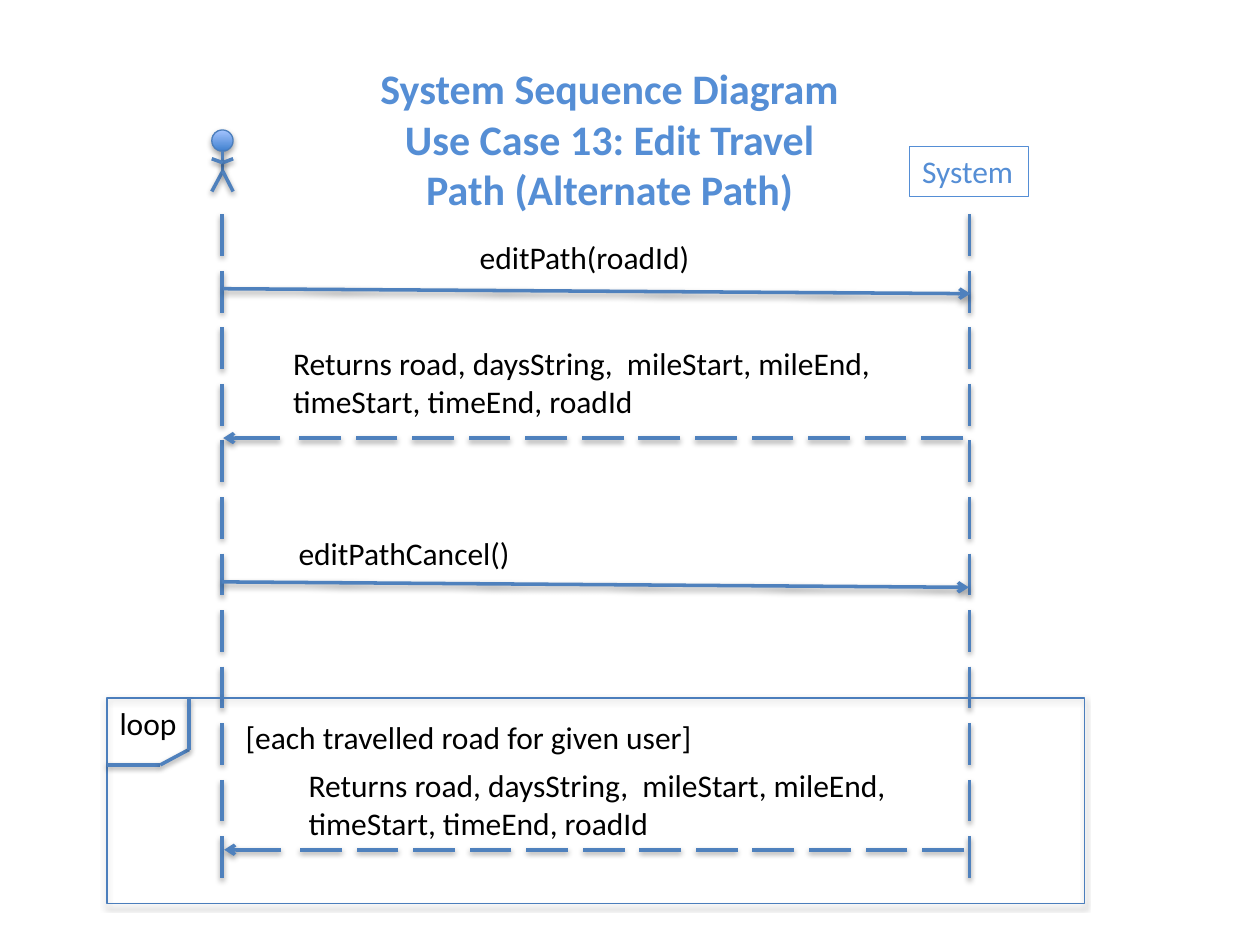
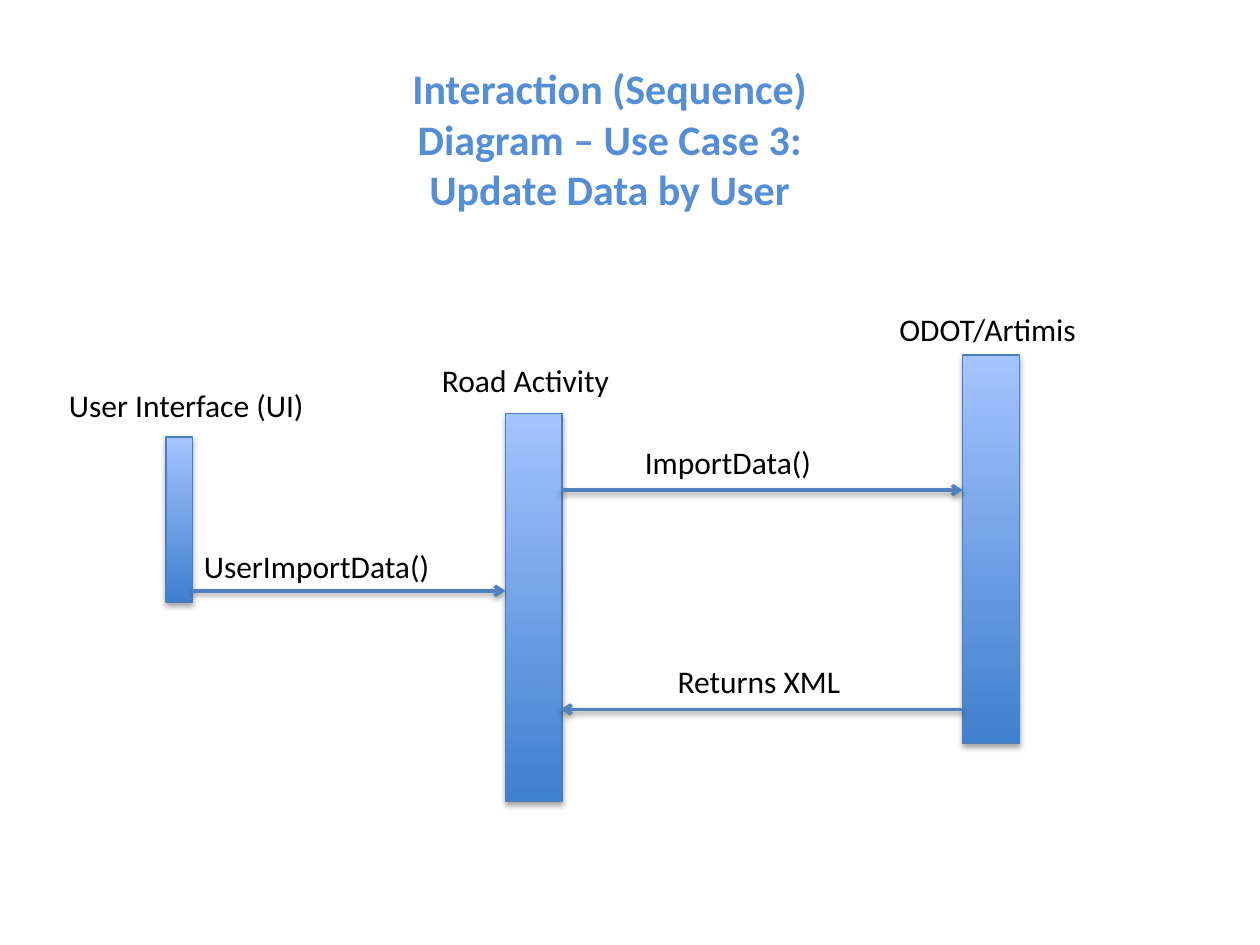
"""Build two sequence diagram slides for a travel road system."""
from itertools import pairwise

from lxml.etree import SubElement as Sub
from pptx import Presentation
from pptx.dml.color import RGBColor
from pptx.enum.shapes import MSO_CONNECTOR as Link, MSO_SHAPE as Kind
from pptx.enum.text import MSO_ANCHOR as Anchor, MSO_AUTO_SIZE as Fit, PP_ALIGN as Align
from pptx.oxml.ns import qn
from pptx.util import Cm, Pt

FONT = "Calibri"
BLACK = RGBColor(0x00, 0x00, 0x00)
SKY = RGBColor(0x55, 0x8E, 0xD5)
BLUE = RGBColor(0x4F, 0x81, 0xBD)
EDGE = RGBColor(0x4B, 0x7E, 0xBC)
DEEP = RGBColor(0x3F, 0x80, 0xCE)
PALE = RGBColor(0xA4, 0xC4, 0xFF)

TITLE_BOX = (7.39, 1.14, 9.8, 3.33)
ROW = 1.02
DASH, STEP, COUNT = 0.84, 1.14, 12

EDIT_TITLE = ["System Sequence Diagram", "Use Case 13: Edit Travel Path (Alternate Path)"]
REPLY = "Returns road, daysString,  mileStart, mileEnd, timeStart, timeEnd, roadId"
HEAD = (4.27, 2.62, 0.43, 0.43)
LIMBS = [
    (4.49, 3.05, 4.49, 3.45), (4.49, 3.45, 4.27, 3.86), (4.49, 3.45, 4.7, 3.86),
    (4.49, 3.28, 4.7, 3.2), (4.49, 3.28, 4.27, 3.2),
]
SYSTEM = (18.34, 2.95, 2.39, ROW)
LIVES, LIFE_TOP = [4.47, 19.54], 4.32
REPLIES = [(19.41, 8.83), (19.43, 17.13)]
CALLS = [(4.5, 5.82, 19.56, 5.92), (4.47, 11.73, 19.53, 11.84)]
LOOP = (2.16, 14.07, 19.71, 4.14)
TAG = [(2.16, 15.42), (3.23, 15.42), (3.81, 15.11), (3.81, 14.07)]
EDIT_NOTES = [
    ("editPath(roadId)", (9.42, 4.67, 4.83, ROW), False),
    (REPLY, (5.66, 6.81, 12.19, 1.8), True),
    ("editPathCancel()", (5.77, 10.64, 12.09, ROW), True),
    ("loop", (2.16, 14.07, 1.68, ROW), False),
    ("[each travelled road for given user]", (4.7, 14.35, 9.65, ROW), False),
    (REPLY, (5.97, 15.32, 12.19, 1.8), True),
]

DATA_TITLE = ["Interaction (Sequence) Diagram – Use Case 3: Update Data by User"]
BARS = [(10.19, 8.33, 1.14, 7.82), (19.41, 7.16, 1.14, 7.82), (3.35, 8.81, 0.53, 3.33)]
DATA_CALLS = [
    (3.86, 11.91, 10.19, 11.91), (11.3, 9.88, 19.41, 9.88), (19.41, 14.3, 11.3, 14.3),
]
DATA_NOTES = [
    ("Road Activity", (8.66, 7.16, 3.94, ROW), False),
    ("UserImportData()", (3.86, 10.9, 5.11, ROW), False),
    ("ODOT/Artimis", (17.88, 6.12, 4.19, ROW), False),
    ("ImportData()", (12.75, 8.81, 3.91, ROW), False),
    ("Returns XML", (13.41, 13.23, 3.86, ROW), False),
    ("User Interface (UI)", (1.14, 7.65, 5.31, ROW), False),
]


def cms(vals):
    """Turn numbers into lengths."""
    return [Cm(val) for val in vals]


def write(frame, *lines, size=18, color=BLACK, bold=False, align=Align.LEFT,
          wrap=False, fit=Fit.SHAPE_TO_FIT_TEXT):
    """Fill a text frame with formatted paragraphs."""
    frame.text = "\n".join(lines)
    frame.word_wrap, frame.auto_size = wrap, fit
    frame.vertical_anchor = Anchor.TOP
    for para in frame.paragraphs:
        para.alignment = align
        font = para.font
        font.name, font.size, font.bold = FONT, Pt(size), bold
        font.color.rgb = color


def shade(props, dist, alpha):
    """Give shape properties a soft shadow below."""
    effects = props.find(qn("a:effectLst"))
    if effects is None:
        effects = Sub(props, qn("a:effectLst"))
    cast = Sub(effects, qn("a:outerShdw"), blurRad="40000", dist=str(dist),
               dir="5400000", rotWithShape="0")
    tint = Sub(cast, qn("a:srgbClr"), val="000000")
    Sub(tint, qn("a:alpha"), val=str(alpha))


def draw(shapes, ends, arrow=False):
    """Draw a line, with an arrowhead at its end if asked."""
    line = shapes.add_connector(Link.STRAIGHT, *cms(ends))
    line.line.color.rgb, line.line.width = BLUE, Pt(2)
    if arrow:
        Sub(line.line._get_or_add_ln(), qn("a:tailEnd"), type="arrow")
    shade(line._element.spPr, 20000, 38000)


def form(shapes, kind, box, edge=EDGE, blend=False, glow=True):
    """Add an outlined shape, with a gradient or a shadow if asked."""
    shape = shapes.add_shape(kind, *cms(box))
    shape.shadow.inherit = False
    if blend:
        shape.fill.gradient()
        shape.fill.gradient_angle = 90
        for stop, color in zip(shape.fill.gradient_stops, (DEEP, PALE)):
            stop.color.rgb = color
    else:
        shape.fill.background()
    shape.line.color.rgb, shape.line.width = edge, Pt(0.75)
    if glow:
        shade(shape._element.spPr, 23000, 35000)
    return shape


def start(deck, lines):
    """Add a slide with its title and return its shapes."""
    shapes = deck.slides.add_slide(deck.slide_layouts[5]).shapes
    title = shapes.title
    title.left, title.top, title.width, title.height = cms(TITLE_BOX)
    write(title.text_frame, *lines, size=24, color=SKY, bold=True,
          align=Align.CENTER, wrap=True, fit=Fit.NONE)
    return shapes


def label(shapes, notes):
    """Add the text labels."""
    for text, box, wrap in notes:
        write(shapes.add_textbox(*cms(box)).text_frame, text, wrap=wrap)


def actor(shapes):
    """Draw the stick figure as one group."""
    group = shapes.add_group_shape().shapes
    form(group, Kind.OVAL, HEAD, blend=True)
    for limb in LIMBS:
        draw(group, limb)


def reply(shapes, right, y):
    """Draw a dashed arrow running left."""
    group = shapes.add_group_shape().shapes
    for i in range(COUNT):
        x = right - i * STEP
        draw(group, (x, y, x - DASH, y))
    draw(shapes, (right - 13.77, y, right - 14.91, y), arrow=True)


def edit(deck):
    """Build the edit path slide."""
    shapes = start(deck, EDIT_TITLE)
    for x in LIVES:
        for i in range(COUNT):
            y = LIFE_TOP + i * STEP
            draw(shapes, (x, y, x, y + DASH))
    actor(shapes)
    system = form(shapes, Kind.RECTANGLE, SYSTEM, edge=SKY, glow=False)
    write(system.text_frame, "System", color=SKY)
    for right, y in REPLIES:
        reply(shapes, right, y)
    for ends in CALLS:
        draw(shapes, ends, arrow=True)
    form(shapes, Kind.RECTANGLE, LOOP)
    for here, there in pairwise(TAG):
        draw(shapes, here + there)
    label(shapes, EDIT_NOTES)


def data(deck):
    """Build the update data slide."""
    shapes = start(deck, DATA_TITLE)
    for bar in BARS:
        form(shapes, Kind.RECTANGLE, bar, blend=True)
    for ends in DATA_CALLS:
        draw(shapes, ends, arrow=True)
    label(shapes, DATA_NOTES)


def main():
    """Build and save the deck."""
    deck = Presentation()
    deck.slide_width, deck.slide_height = Cm(25.4), Cm(19.05)
    edit(deck)
    data(deck)
    deck.save("out.pptx")


if __name__ == "__main__":
    main()
